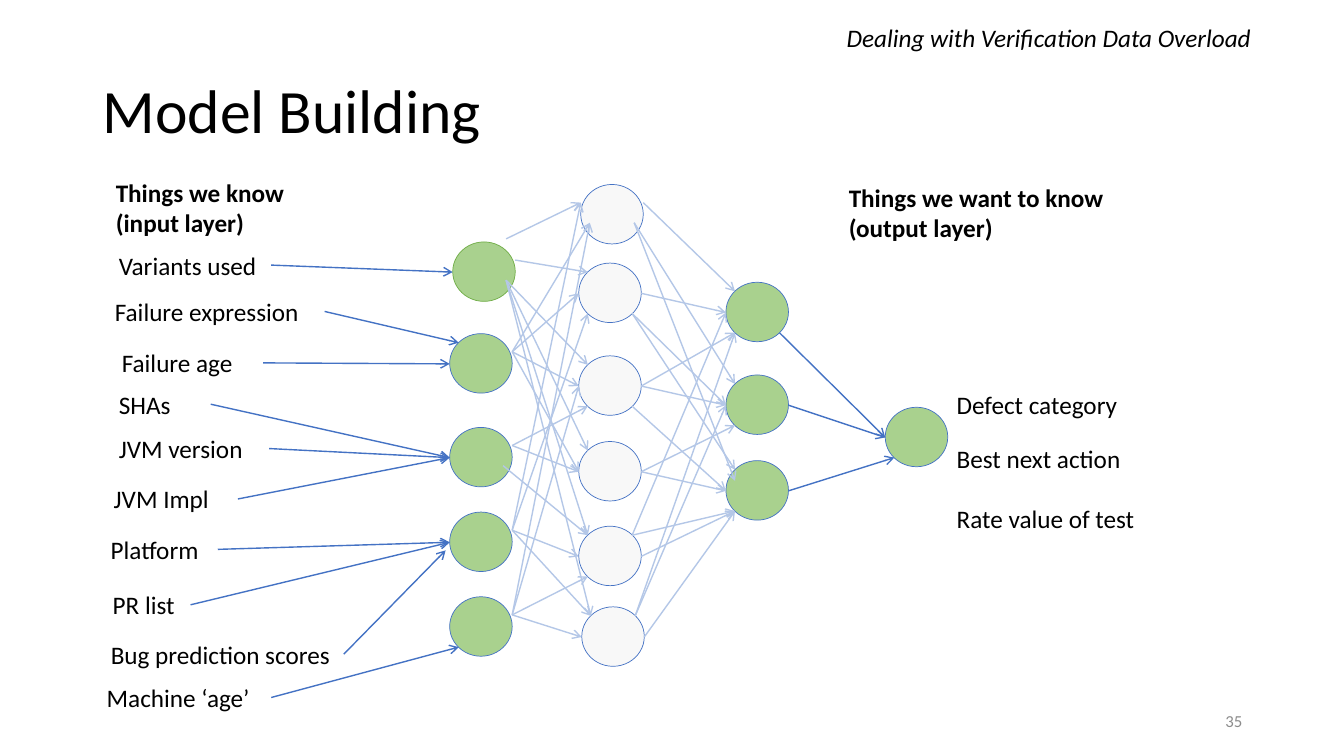
from lxml import etree
from pptx import Presentation
from pptx.dml.color import RGBColor
from pptx.enum.shapes import MSO_CONNECTOR as Line, MSO_SHAPE as Shape
from pptx.enum.text import MSO_ANCHOR as Anchor, MSO_AUTO_SIZE as Auto, PP_ALIGN as Align
from pptx.oxml.ns import qn
from pptx.util import Inches, Pt

BLACK, GRAY, BLUE, PALE_BLUE = "000000", "8C8C8C", "4472C4", "B4C7E7"
GREEN, DARK_GREEN, PALE_GRAY = "A9D18E", "70AD47", "EDEDED"
NODE_W, NODE_H = 0.62, 0.59

# Arrow ports, measured from a node's top left corner
PORTS = {
    "W": (0, 0.3), "NW": (0.09, 0.09), "SW": (0.09, 0.5),
    "E": (0.62, 0.3), "NE": (0.53, 0.09), "SE": (0.53, 0.5),
    "below W": (-0.04, 0.38), "inner NW": (0.09, 0.2),
}
PORT_LIFT = 0.12  # arrows leave the inputs and meet h1 a little higher

# Nodes, measured from the network's top left corner
INPUTS = {"i1": (0.03, 0.57), "i2": (0, 1.48), "i3": (0, 2.41), "i4": (0, 3.25), "i5": (0, 4.09)}
HIDDEN = {"h1": (1.3, 0), "h2": (1.28, 0.78), "h3": (1.28, 1.7),
          "h4": (1.28, 2.55), "h5": (1.28, 3.39), "h6": (1.31, 4.19)}
OUTPUTS = {"o1": (2.74, 0.97), "o2": (2.74, 1.89), "o3": (2.74, 2.74), "result": (4.32, 2.21)}

# Start node and port, then each target node and port
HIDDEN_LINKS = [
    ("i1", "NE", [("h1", "W")]),
    ("i1", "E", [("h2", "NW")]),
    ("i1", "SE", [("h3", "NW"), ("h4", "NW"), ("h5", "NW"), ("h6", "NW")]),
    ("i2", "E", [("h1", "SW"), ("h2", "W"), ("h3", "W"), ("h4", "W")]),
    ("i3", "E", [("h3", "SW"), ("h4", "W")]),
    ("i3", "SE", [("h5", "NW")]),
    ("i4", "E", [("h5", "W"), ("h6", "NW"), ("h2", "SW"), ("h1", "W")]),
    ("i5", "E", [("h6", "W"), ("h5", "SW"), ("h3", "W"), ("h1", "SW")]),
    ("h1", "E", [("o1", "NW")]),
    ("h1", "SE", [("o2", "NW"), ("o3", "inner NW")]),
    ("h2", "E", [("o1", "W")]),
    ("h2", "SE", [("o2", "W"), ("o3", "NW")]),
    ("h3", "E", [("o1", "SW"), ("o2", "W")]),
    ("h3", "SE", [("o3", "W")]),
    ("h4", "E", [("o3", "W"), ("o2", "SW")]),
    ("h5", "E", [("o3", "SW")]),
    ("h5", "NE", [("o1", "W"), ("o3", "SW")]),
    ("h6", "E", [("o3", "SW")]),
    ("h6", "NE", [("o2", "W"), ("o1", "SW")]),
]
RESULT_LINKS = [("o1", "SE", [("result", "W")]), ("o2", "E", [("result", "W")]),
                ("o3", "E", [("result", "SW")])]

# Text, offset and width in the region, then the node and port it feeds
FEATURES = [
    ("Variants used", 0.12, 0.72, 1.61, "i1", "W"),
    ("Failure expression", 0.08, 1.18, 2.18, "i2", "NW"),
    ("Failure age", 0.15, 1.69, 1.5, "i2", "W"),
    ("SHAs", 0.12, 2.1, 1.01, "i3", "W"),
    ("JVM version", 0.12, 2.54, 1.59, "i3", "W"),
    ("JVM Impl", 0.07, 3.04, 1.33, "i3", "W"),
    ("Platform", 0.04, 3.54, 1.16, "i4", "W"),
    ("PR list", 0.06, 4.09, 0.87, "i4", "W"),
    ("Bug prediction scores", 0.04, 4.58, 2.41, "i4", "below W"),
    ("Machine ‘age’", 0, 5.01, 1.73, "i5", "SW"),
]
ANSWERS = [("Defect category", 2.05), ("Best next action", 2.59), ("Rate value of test", 3.18)]


def color(hex_value):
    return RGBColor.from_string(hex_value)


def write(holder, text, size=18, tint=BLACK, bold=False, italic=False,
          align=Align.LEFT, anchor=Anchor.TOP, spacing=None, bullet=True):
    frame = holder.text_frame
    frame.text = text
    frame.word_wrap, frame.auto_size = True, Auto.NONE
    frame.vertical_anchor = anchor
    for para in frame.paragraphs:
        if not bullet:
            props = para._p.get_or_add_pPr()
            props.set("marL", "0")
            props.set("indent", "0")
            etree.SubElement(props, qn("a:buNone"))
        para.alignment, para.line_spacing = align, spacing
        para.space_before = Pt(0)
        font = para.font
        font.name, font.size, font.bold, font.italic = "Calibri", Pt(size), bold, italic
        font.color.rgb = color(tint)
    return holder


def place(holder, left, top, width, height):
    holder.left, holder.top = Inches(left), Inches(top)
    holder.width, holder.height = Inches(width), Inches(height)
    return holder


def label(slide, text, left, top, width, height=0.4, **style):
    box = slide.shapes.add_textbox(*map(Inches, (left, top, width, height)))
    return write(box, text, **style)


def arrow(slide, start, end, tint, source=None):
    link = slide.shapes.add_connector(Line.STRAIGHT, *map(Inches, (*start, *end)))
    if source is not None:
        link.begin_connect(source, 3)
    link.line.color.rgb, link.line.width = color(tint), Pt(1)
    etree.SubElement(link.line._get_or_add_ln(), qn("a:tailEnd"), type="arrow")
    etree.SubElement(link._element.spPr, qn("a:effectLst"))


def node(slide, left, top, fill, outline=BLUE, opacity=None):
    circle = slide.shapes.add_shape(Shape.OVAL, *map(Inches, (left, top, NODE_W, NODE_H)))
    circle.shadow.inherit = False
    circle.fill.solid()
    circle.fill.fore_color.rgb = color(fill)
    circle.line.color.rgb, circle.line.width = color(outline), Pt(0.5)
    if opacity:
        tone = circle._element.spPr.find(qn("a:solidFill"))[0]
        etree.SubElement(tone, qn("a:alpha"), val=str(opacity * 1000))


def network(slide, left, top):
    """Draw nodes and links; return a function that locates a node's port."""
    places = {**INPUTS, **HIDDEN, **OUTPUTS}

    def port(name, side, lift=0):
        (x, y), (dx, dy) = places[name], PORTS[side]
        if name == "h1":
            lift = PORT_LIFT
        return left + x + dx, top + y + dy - lift

    for name, (x, y) in places.items():
        hidden = name in HIDDEN
        node(slide, left + x, top + y, PALE_GRAY if hidden else GREEN,
             outline=DARK_GREEN if name == "i1" else BLUE, opacity=35 if hidden else None)
    for links, tint in ((HIDDEN_LINKS, PALE_BLUE), (RESULT_LINKS, BLUE)):
        for name, side, targets in links:
            start = port(name, side, PORT_LIFT if name in INPUTS else 0)
            for target in targets:
                arrow(slide, start, port(*target), tint)
    return port


def known_things(slide, left, top, port):
    label(slide, "Things we know\n(input layer)", left + 0.09, top, 2, 0.7, bold=True)
    for text, dx, dy, width, name, side in FEATURES:
        feature = label(slide, text, left + dx, top + dy, width)
        arrow(slide, (left + dx + width, top + dy + 0.2), port(name, side), BLUE, feature)


def wanted_things(slide, left, top):
    label(slide, "Things we want to know\n(output layer)", left, top, 2.76, 0.71, bold=True)
    for text, dy in ANSWERS:
        label(slide, text, left + 1.07, top + dy, 2)


def headings(slide):
    title, running_head = slide.placeholders
    write(place(title, 0.92, 0.4, 11.5, 1.45), "Model Building", size=44,
          anchor=Anchor.MIDDLE, spacing=0.9)
    write(place(running_head, 4.01, 0.15, 8.5, 0.49), "Dealing with Verification Data Overload",
          italic=True, align=Align.RIGHT, anchor=Anchor.MIDDLE, spacing=0.9, bullet=False)
    label(slide, "35", 9.42, 6.95, 3, size=12, tint=GRAY, align=Align.RIGHT, anchor=Anchor.MIDDLE)


def main():
    deck = Presentation()
    deck.slide_width, deck.slide_height = Inches(13.33), Inches(7.5)
    slide = deck.slides.add_slide(deck.slide_layouts[1])
    headings(slide)
    port = network(slide, 4.46, 1.83)
    known_things(slide, 0.96, 1.71, port)
    wanted_things(slide, 8.32, 1.76)
    deck.save("out.pptx")


if __name__ == "__main__":
    main()
